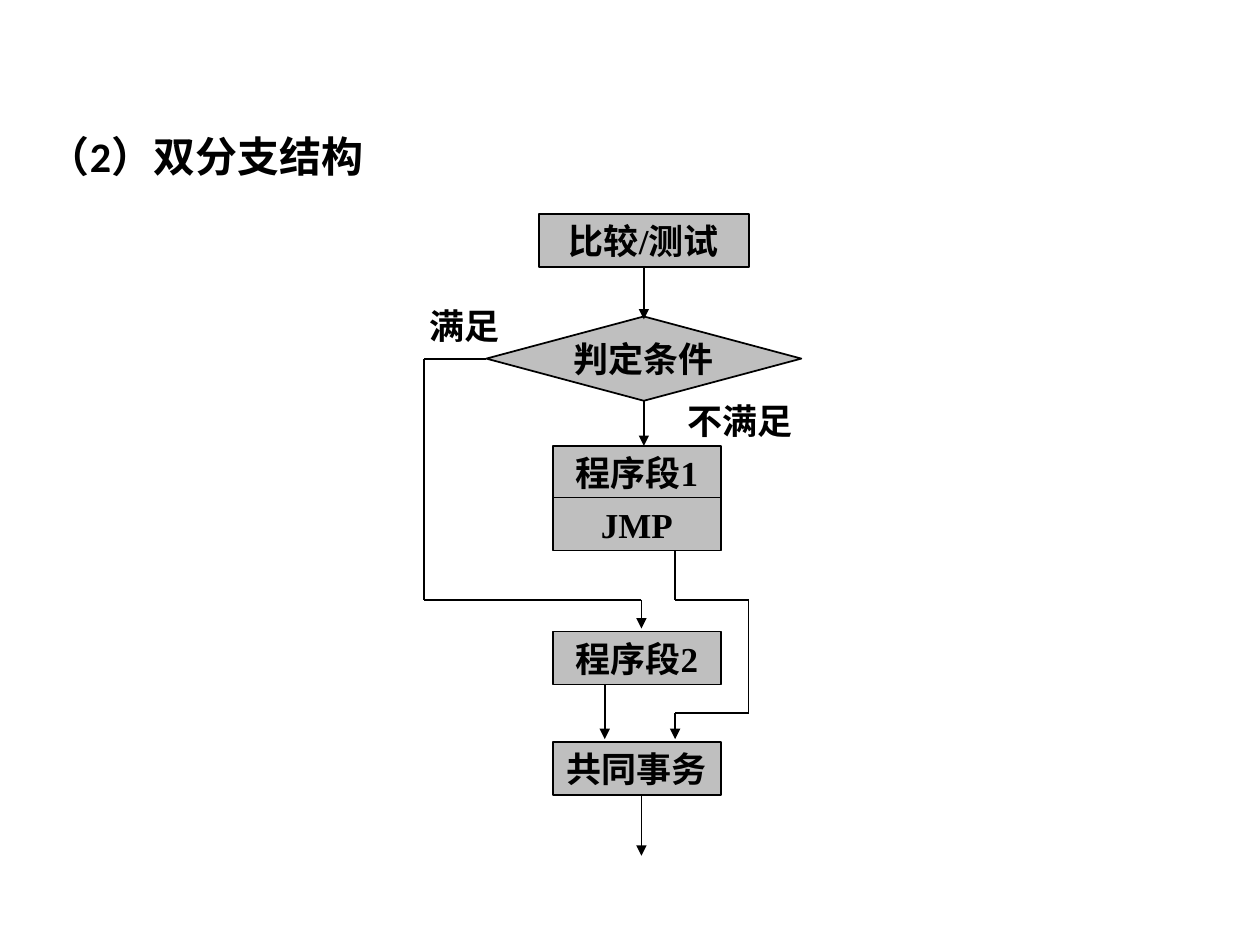
import itertools
from dataclasses import dataclass

import pptx
import pptx.dml.color
import pptx.enum.shapes
import pptx.enum.text
import pptx.oxml
import pptx.oxml.ns
import pptx.util

Cm, Pt = pptx.util.Cm, pptx.util.Pt
RGB = pptx.dml.color.RGBColor
MSO = pptx.enum.shapes.MSO_SHAPE
ALIGN = pptx.enum.text.PP_ALIGN
ANCHOR = pptx.enum.text.MSO_ANCHOR


@dataclass(frozen=True)
class Theme:
    ink: RGB = RGB(0, 0, 0)
    fill: RGB = RGB(0xBF, 0xBF, 0xBF)
    line: Pt = Pt(1)
    title_font: str = "Calibri"
    title_size: Pt = Pt(24)
    node_font: str = "Times New Roman"
    node_size: Pt = Pt(20)


THEME = Theme()


def write(tf, text, font, size, align, anchor, wrap):
    tf.word_wrap = wrap
    tf.auto_size = pptx.enum.text.MSO_AUTO_SIZE.NONE
    tf.vertical_anchor = anchor
    p = tf.paragraphs[0]
    p.alignment = align
    r = p.add_run()
    r.text = text
    r.font.name, r.font.size, r.font.bold = font, size, True
    r.font.color.rgb = THEME.ink


def add_node(s, kind, text, x, y, w, h):
    sp = s.shapes.add_shape(kind, Cm(x), Cm(y), Cm(w), Cm(h))
    sp.shadow.inherit = False
    sp.fill.solid()
    sp.fill.fore_color.rgb = THEME.fill
    sp.line.color.rgb = THEME.ink
    sp.line.width = THEME.line
    write(sp.text_frame, text, THEME.node_font, THEME.node_size,
          ALIGN.CENTER, ANCHOR.MIDDLE, False)


def add_label(s, text, x, y, w, h):
    sp = s.shapes.add_textbox(Cm(x), Cm(y), Cm(w), Cm(h))
    write(sp.text_frame, text, THEME.node_font, THEME.node_size,
          ALIGN.LEFT, ANCHOR.TOP, True)


def add_route(s, points):
    """Join the points with straight lines; the last one ends in an arrowhead."""
    for (x1, y1), (x2, y2) in itertools.pairwise(points):
        cn = s.shapes.add_connector(pptx.enum.shapes.MSO_CONNECTOR.STRAIGHT,
                                    Cm(x1), Cm(y1), Cm(x2), Cm(y2))
        cn.line.color.rgb = THEME.ink
        cn.line.width = THEME.line
        pptx.oxml.ns.qn("a:effectLst")
        sp_pr = cn._element.spPr
        sp_pr.append(pptx.oxml.parse_xml(
            f'<a:effectLst {pptx.oxml.ns.nsdecls("a")}/>'))
    cn.line._get_or_add_ln().append(pptx.oxml.parse_xml(
        f'<a:tailEnd {pptx.oxml.ns.nsdecls("a")} type="triangle"/>'))


def place_title(s, text, x, y, w, h):
    sp = s.shapes.title
    sp.left, sp.top, sp.width, sp.height = Cm(x), Cm(y), Cm(w), Cm(h)
    write(sp.text_frame, text, THEME.title_font, THEME.title_size,
          ALIGN.LEFT, ANCHOR.TOP, True)


def draw_flowchart(s, x, y):
    """Draw the two-way branch with its top left corner at x, y."""
    box_w, box_h = 3.38, 1.07
    axis, test_w, cond_w, cond_h = 4.57, 4.24, 6.35, 1.7
    cond_y, box_x = 2.06, 2.74
    seg1_y, seg2_y, common_y = 4.67, 8.41, 10.64
    jump_y = seg1_y + box_h - 0.03
    cond_x, cond_mid = axis - cond_w / 2, cond_y + cond_h / 2
    left, right, turn = 0.13, 6.68, 7.77
    entry, side, rejoin, gap = 4.52, 5.2, 10.06, 0.06

    nodes = [
        (MSO.FLOWCHART_PROCESS, "比较/测试", axis - test_w / 2, 0, test_w, box_h),
        (MSO.FLOWCHART_DECISION, "判定条件", cond_x, cond_y, cond_w, cond_h),
    ] + [
        (MSO.FLOWCHART_PROCESS, text, box_x, top, box_w, box_h)
        for text, top in (("程序段1", seg1_y), ("JMP", jump_y),
                          ("程序段2", seg2_y), ("共同事务", common_y))
    ]
    for kind, text, nx, ny, w, h in nodes:
        add_node(s, kind, text, x + nx, y + ny, w, h)

    routes = [
        [(axis, box_h), (axis, cond_y + gap)],
        [(axis, cond_y + cond_h), (axis, seg1_y)],
        [(cond_x, cond_mid), (left, cond_mid), (left, turn),
         (entry, turn), (entry, seg2_y - gap)],
        [(side, jump_y + box_h), (side, turn), (right, turn),
         (right, rejoin), (side, rejoin), (side, common_y - gap)],
        [(3.78, seg2_y + box_h), (3.78, common_y - gap)],
        [(entry, common_y + box_h), (entry, 12.93)],
    ]
    for route in routes:
        add_route(s, [(x + px, y + py) for px, py in route])

    add_label(s, "满足", x, y + 1.7, 2.13, 1.1)
    add_label(s, "不满足", x + side, y + 3.6, 3.38, 1.1)


def main():
    prs = pptx.Presentation()
    prs.slide_width, prs.slide_height = Cm(25.4), Cm(19.05)
    s = prs.slides.add_slide(prs.slide_layouts[5])
    place_title(s, "（2）双分支结构", 0.71, 2.51, 6.96, 1.27)
    draw_flowchart(s, 8.41, 4.32)
    prs.save("out.pptx")


if __name__ == "__main__":
    main()
